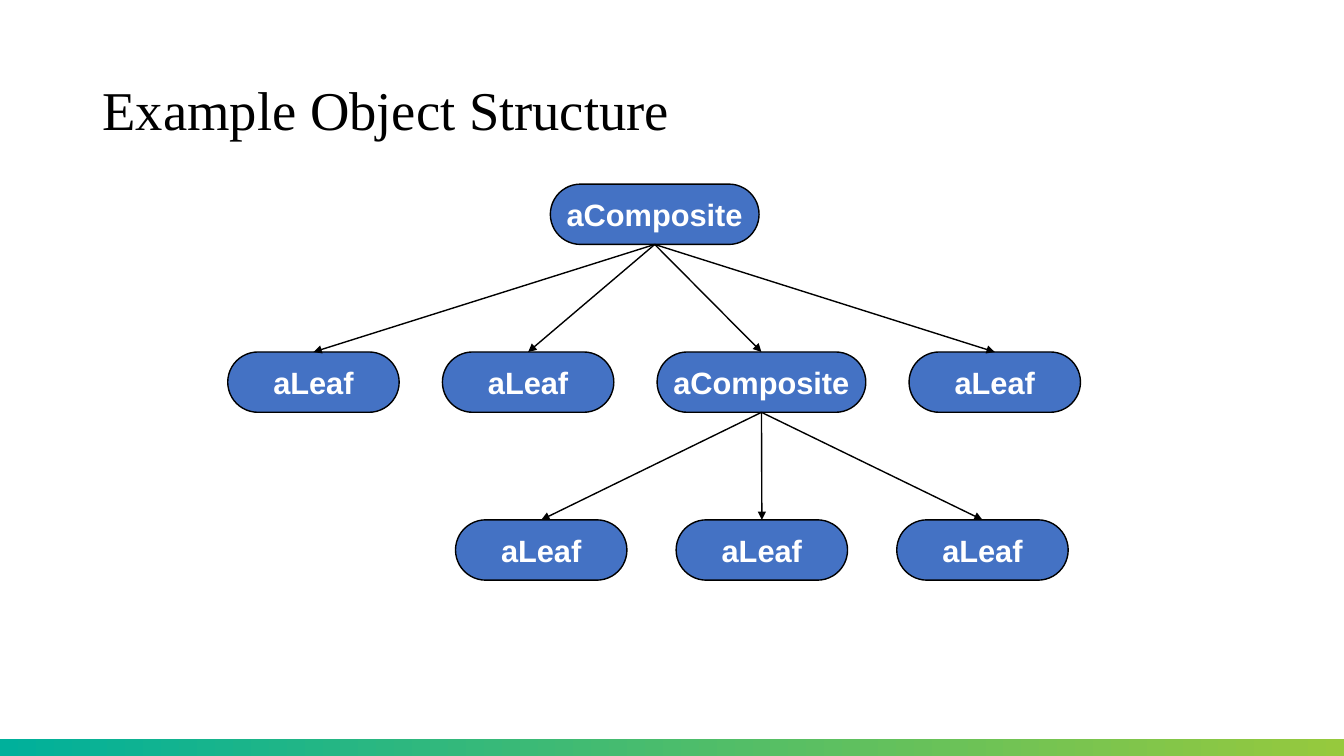
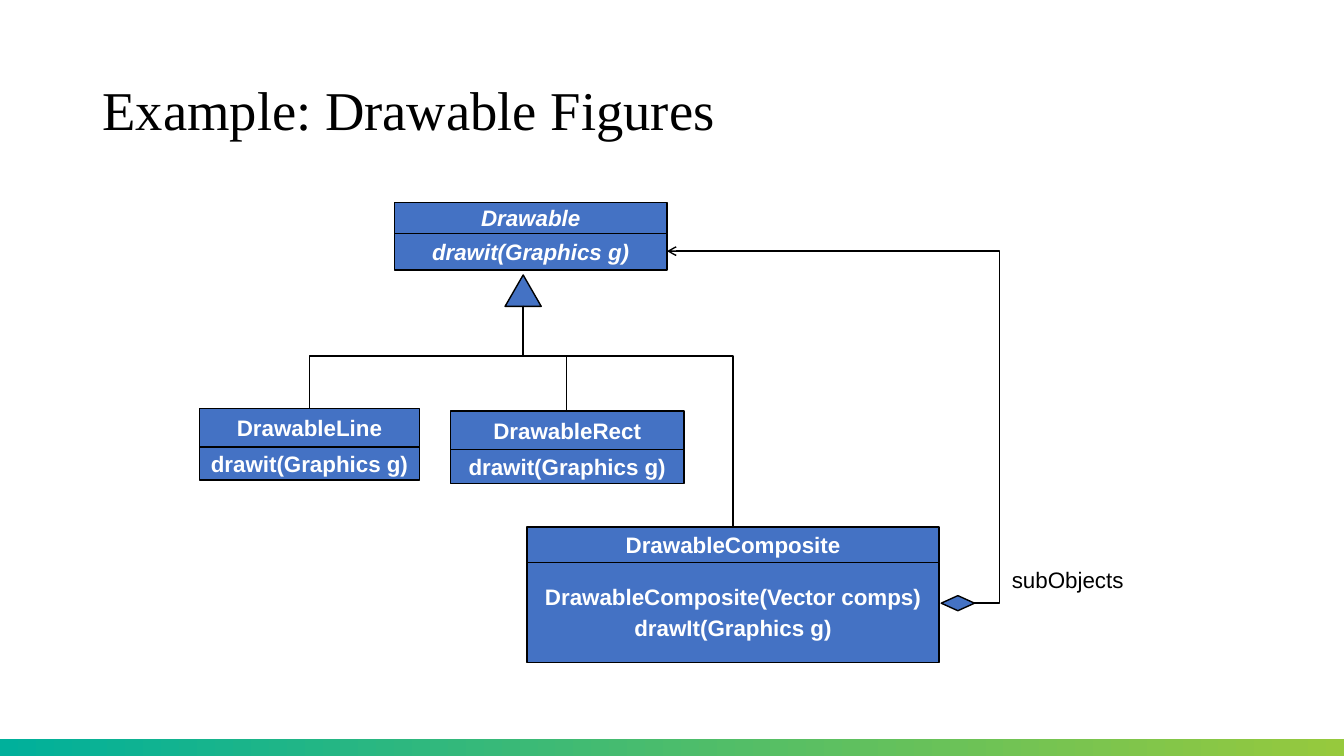
import dataclasses

import pptx
import pptx.dml.color
import pptx.enum.shapes
import pptx.enum.text
import pptx.oxml
import pptx.oxml.ns
import pptx.util

Cm = pptx.util.Cm
Pt = pptx.util.Pt
Shape = pptx.enum.shapes.MSO_SHAPE
Connector = pptx.enum.shapes.MSO_CONNECTOR
Align = pptx.enum.text.PP_ALIGN
Anchor = pptx.enum.text.MSO_ANCHOR
qn = pptx.oxml.ns.qn


def color(value):
    return pptx.dml.color.RGBColor.from_string(value)


@dataclasses.dataclass(frozen=True)
class Theme:
    ink: str = "000000"
    box: str = "4472C4"
    box_text: str = "FFFFFF"
    band_start: str = "00B09B"
    band_end: str = "96C93D"
    title_font: str = "Times New Roman"
    body_font: str = "Arial"
    title_size: int = 39
    node_size: int = 22
    class_size: int = 16
    line_width: int = 1


def assign(target, values):
    for name, value in values.items():
        setattr(target, name, value)


def append_xml(parent, tag, **attributes):
    child = pptx.oxml.parse_xml(
        f'<a:{tag} xmlns:a="http://schemas.openxmlformats.org/drawingml/2006/main"/>'
    )
    for name, value in attributes.items():
        child.set(name, value)
    parent.append(child)


class Deck:
    def __init__(self, theme):
        self.theme = theme
        self.presentation = pptx.Presentation()
        assign(self.presentation, {"slide_width": Cm(33.87), "slide_height": Cm(19.05)})
        self.slide = None

    def new_slide(self, title):
        layout = self.presentation.slide_layouts.get_by_name("Title Only")
        self.slide = self.presentation.slides.add_slide(layout)
        if len(self.presentation.slides) == 1:
            self.add_master_band()
        placeholder = self.slide.shapes.title
        assign(placeholder, {
            "left": Cm(2.33), "top": Cm(1.01), "width": Cm(29.21), "height": Cm(3.68),
        })
        assign(placeholder.text_frame, {
            "vertical_anchor": Anchor.MIDDLE,
            "auto_size": pptx.enum.text.MSO_AUTO_SIZE.NONE,
            "word_wrap": True,
        })
        self.set_text(
            placeholder, [title], self.theme.title_size, self.theme.ink,
            font_name=self.theme.title_font,
            paragraph_format={"alignment": Align.LEFT, "line_spacing": 0.9},
        )

    def add_master_band(self):
        band = self.slide.shapes.add_shape(
            Shape.RECTANGLE, 0, Cm(18.62), self.presentation.slide_width, Cm(0.43)
        )
        band.shadow.inherit = False
        band.line.fill.background()
        band.fill.gradient()
        band.fill.gradient_angle = 0
        stops = zip(band.fill.gradient_stops, (0, 1),
                    (self.theme.band_start, self.theme.band_end))
        for stop, position, value in stops:
            stop.position = position
            stop.color.rgb = color(value)
        band.element.nvSpPr.cNvPr.set("id", "100")
        self.presentation.slide_master.shapes.element.append(band.element)

    def set_text(self, shape, lines, size, text_color, font_name=None,
                 bold=False, italic=False, paragraph_format=None):
        frame = shape.text_frame
        for index, line in enumerate(lines):
            paragraph = frame.add_paragraph() if index else frame.paragraphs[0]
            paragraph.text = line
            assign(paragraph, paragraph_format or {})
            if index < len(lines) - 1:
                paragraph.space_after = Pt(3)
            assign(paragraph.font, {
                "name": font_name or self.theme.body_font,
                "size": Pt(size), "bold": bold, "italic": italic,
            })
            paragraph.font.color.rgb = color(text_color)

    def style_line(self, line):
        line.color.rgb = color(self.theme.ink)
        line.width = Pt(self.theme.line_width)

    def box(self, kind, left, top, width, height, lines=(), size=None, italic=False):
        shape = self.slide.shapes.add_shape(kind, Cm(left), Cm(top), Cm(width), Cm(height))
        shape.shadow.inherit = False
        shape.fill.solid()
        shape.fill.fore_color.rgb = color(self.theme.box)
        self.style_line(shape.line)
        if lines:
            assign(shape.text_frame, {"word_wrap": False, "vertical_anchor": Anchor.MIDDLE})
            self.set_text(shape, lines, size, self.theme.box_text, bold=True, italic=italic,
                          paragraph_format={"alignment": Align.CENTER})
        return shape

    def node_row(self, left, top, gap, names):
        widths = {"aLeaf": 4.32, "aComposite": 5.26}
        nodes = []
        for name in names:
            node = self.box(Shape.ROUNDED_RECTANGLE, left, top, widths[name], 1.52,
                            [name], self.theme.node_size)
            node.adjustments[0] = 0.5
            nodes.append(node)
            left += widths[name] + gap
        return nodes

    def class_box(self, left, top, width, sections, italic=False):
        for height, lines in sections:
            self.box(Shape.RECTANGLE, left, top, width, height,
                     lines, self.theme.class_size, italic)
            top += height

    def label(self, left, top, width, height, text):
        shape = self.slide.shapes.add_textbox(Cm(left), Cm(top), Cm(width), Cm(height))
        shape.text_frame.word_wrap = True
        self.set_text(shape, [text], self.theme.class_size, self.theme.ink)

    def connector(self, kind, start=(0, 0), end=(0, 0), head=None):
        points = [Cm(value) for value in (*start, *end)]
        connector = self.slide.shapes.add_connector(kind, *points)
        self.style_line(connector.line)
        properties = connector.element.spPr
        if head:
            append_xml(properties.find(qn("a:ln")), "tailEnd", type=head)
        append_xml(properties, "effectLst")
        return connector

    def link_children(self, parent, children):
        for child in children:
            arrow = self.connector(Connector.STRAIGHT, head="triangle")
            arrow.begin_connect(parent, 2)
            arrow.end_connect(child, 0)

    def set_bend(self, connector, ratio):
        guides = connector.element.spPr.find(qn("a:prstGeom")).find(qn("a:avLst"))
        append_xml(guides, "gd", name="adj1", fmla=f"val {round(ratio * 100000)}")

    def horizontal_elbow(self, start, end, bend_x, head=None):
        connector = self.connector(Connector.ELBOW, start, end, head)
        self.set_bend(connector, (bend_x - start[0]) / (end[0] - start[0]))

    def vertical_elbow(self, start, end, bend_y):
        center_x, center_y = ((a + b) / 2 for a, b in zip(start, end))
        half_drop = (end[1] - start[1]) / 2
        half_span = abs(end[0] - start[0]) / 2
        side = 1 if end[0] < start[0] else -1
        connector = self.connector(
            Connector.ELBOW,
            (center_x - side * half_drop, center_y - half_span),
            (center_x + side * half_drop, center_y + half_span),
        )
        degrees = 90 if side == 1 else 270
        connector.element.spPr.find(qn("a:xfrm")).set("rot", str(degrees * 60000))
        self.set_bend(connector, (bend_y - start[1]) / (end[1] - start[1]))


def object_structure(deck):
    deck.new_slide("Example Object Structure")
    top, step = 4.64, 4.23
    root, = deck.node_row(13.87, top, 0, ["aComposite"])
    children = deck.node_row(5.74, top + step, 1.09,
                             ["aLeaf", "aLeaf", "aComposite", "aLeaf"])
    leaves = deck.node_row(11.48, top + 2 * step, 1.24, ["aLeaf"] * 3)
    deck.link_children(root, children)
    deck.link_children(children[2], leaves)


def drawable_figures(deck):
    deck.new_slide("Example: Drawable Figures")
    method = ["drawit(Graphics g)"]
    deck.class_box(9.94, 5.11, 6.87, [(0.77, ["Drawable"]), (0.93, method)], italic=True)
    deck.class_box(5.03, 10.29, 5.54, [(0.97, ["DrawableLine"]), (0.84, method)])
    deck.class_box(11.35, 10.36, 5.89, [(0.97, ["DrawableRect"]), (0.86, method)])
    deck.class_box(13.28, 13.28, 10.39, [
        (0.9, ["DrawableComposite"]),
        (2.51, ["DrawableComposite(Vector comps)", "drawIt(Graphics g)"]),
    ])
    deck.box(Shape.ISOSCELES_TRIANGLE, 12.73, 6.93, 0.91, 0.79)
    for end in ((7.8, 10.29), (14.28, 10.36), (18.47, 13.28)):
        deck.vertical_elbow((13.18, 7.7), end, 8.97)
    deck.box(Shape.DIAMOND, 23.72, 15.01, 0.84, 0.38)
    deck.horizontal_elbow((24.56, 15.2), (16.81, 6.33), 25.19, head="arrow")
    deck.label(25.25, 14.15, 4.37, 0.94, "subObjects")


def main():
    deck = Deck(Theme())
    object_structure(deck)
    drawable_figures(deck)
    deck.presentation.save("out.pptx")


if __name__ == "__main__":
    main()
